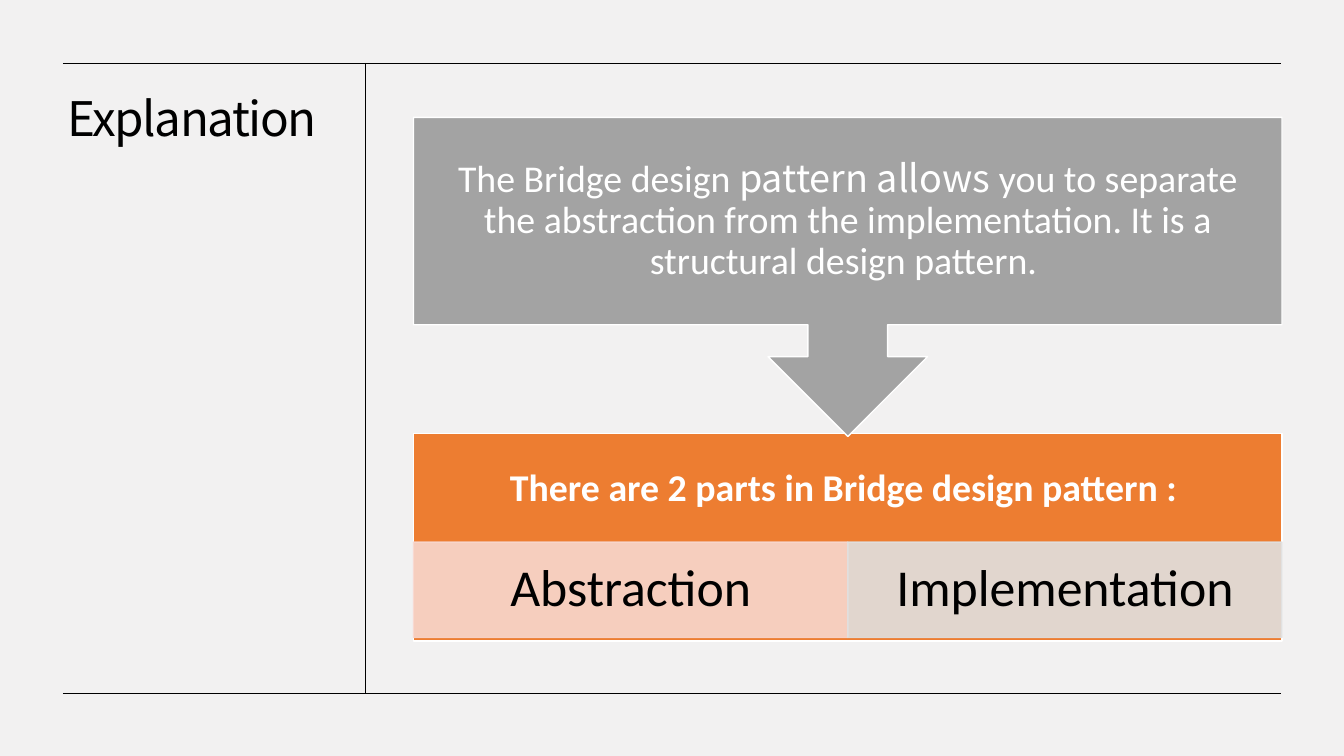
from dataclasses import dataclass

from lxml.etree import SubElement
from pptx import Presentation
from pptx.dml.color import RGBColor
from pptx.enum.shapes import MSO_CONNECTOR, MSO_SHAPE
from pptx.enum.text import MSO_ANCHOR, PP_ALIGN
from pptx.oxml.ns import qn
from pptx.util import Pt


@dataclass(frozen=True)
class Theme:
    background: str = "F2F1F1"
    ink: str = "000000"
    white: str = "FFFFFF"
    grey: str = "A3A3A3"
    orange: str = "ED7D31"
    pink: str = "F8D7CE"
    light_grey: str = "E0E0E0"
    body_font: str = "Calibri"
    title_font: str = "Noto Sans CJK KR"
    title_size: int = 34
    body_size: int = 27
    part_size: int = 37


theme = Theme()


def write(shape, text, size, color=theme.white, fonts=(theme.body_font,),
          bold=False, align=PP_ALIGN.CENTER, anchor=MSO_ANCHOR.MIDDLE,
          insets=(15, 15, 15, 15), spacing=0):
    """Fill a shape with one paragraph; "|" splits runs, one font for each."""
    frame = shape.text_frame
    frame.word_wrap = True
    frame.vertical_anchor = anchor
    (frame.margin_left, frame.margin_top,
     frame.margin_right, frame.margin_bottom) = map(Pt, insets)
    paragraph = frame.paragraphs[0]
    paragraph.alignment = align
    paragraph.line_spacing = 0.9
    for words, font_name in zip(text.split("|"), fonts):
        run = paragraph.add_run()
        run.text = words
        run.font.name = font_name
        run.font.size = Pt(size)
        run.font.bold = bold
        run.font.color.rgb = RGBColor.from_string(color)
        if spacing:
            run.font._element.set("spc", str(spacing * 100))


def add_box(kind, left, top, width, height, fill, line, opacity=100):
    box = slide.shapes.add_shape(kind, Pt(left), Pt(top), Pt(width), Pt(height))
    box.shadow.inherit = False
    box.fill.solid()
    box.fill.fore_color.rgb = RGBColor.from_string(fill)
    box.line.color.rgb = RGBColor.from_string(line)
    box.line.width = Pt(1)
    if opacity < 100:
        for color in box._element.spPr.iter(qn("a:srgbClr")):
            SubElement(color, qn("a:alpha")).set("val", str(opacity * 1000))
    return box


deck = Presentation()
deck.slide_width, deck.slide_height = Pt(960), Pt(540)
slide = deck.slides.add_slide(deck.slide_layouts[6])
slide.background.fill.solid()
slide.background.fill.fore_color.rgb = RGBColor.from_string(theme.background)

# Title
title = slide.shapes.add_textbox(Pt(41), Pt(64.8), Pt(196), Pt(425))
write(title, "Explanation", theme.title_size, theme.ink, (theme.title_font,),
      align=PP_ALIGN.LEFT, anchor=MSO_ANCHOR.TOP,
      insets=(7.2, 3.6, 7.2, 3.6), spacing=-1)

# Frame rules: bottom, divider, top
rule_left, rule_right, rule_top, rule_bottom, divider = 45, 915, 45, 495, 260.8
for ends in ((rule_left, rule_bottom, rule_right, rule_bottom),
             (divider, rule_top, divider, rule_bottom),
             (rule_left, rule_top, rule_right, rule_top)):
    rule = slide.shapes.add_connector(MSO_CONNECTOR.STRAIGHT, *map(Pt, ends))
    rule.line.color.rgb = RGBColor.from_string(theme.ink)
    rule.line.width = Pt(0.5)
    SubElement(rule._element.spPr, qn("a:effectLst"))

# Parts of the pattern, under their heading
column_left, column_width = 295.4, 620.4
heading = add_box(MSO_SHAPE.RECTANGLE, column_left, 309.8, column_width, 148.2,
                  theme.orange, theme.white)
write(heading, "There are 2 parts in Bridge design pattern : ",
      theme.body_size, bold=True, insets=(15, 15, 15, 83.2))

part_width = column_width / 2
for index, (name, tint) in enumerate((("Abstraction", theme.pink),
                                      ("Implementation", theme.light_grey))):
    part = add_box(MSO_SHAPE.RECTANGLE, column_left + index * part_width, 387.2,
                   part_width, 68.2, tint, tint, opacity=90)
    write(part, name, theme.part_size, theme.ink, insets=(21, 3.6, 21, 3.6))

# Definition, pointing down to the parts
definition = add_box(MSO_SHAPE.DOWN_ARROW_CALLOUT, column_left, 83.8,
                     column_width, 228, theme.grey, theme.white)
write(definition,
      "The Bridge design |pattern allows| you to separate the abstraction from "
      "the implementation. It is a structural design pattern. ",
      theme.body_size,
      fonts=(theme.body_font, theme.title_font, theme.body_font))

deck.save("out.pptx")
